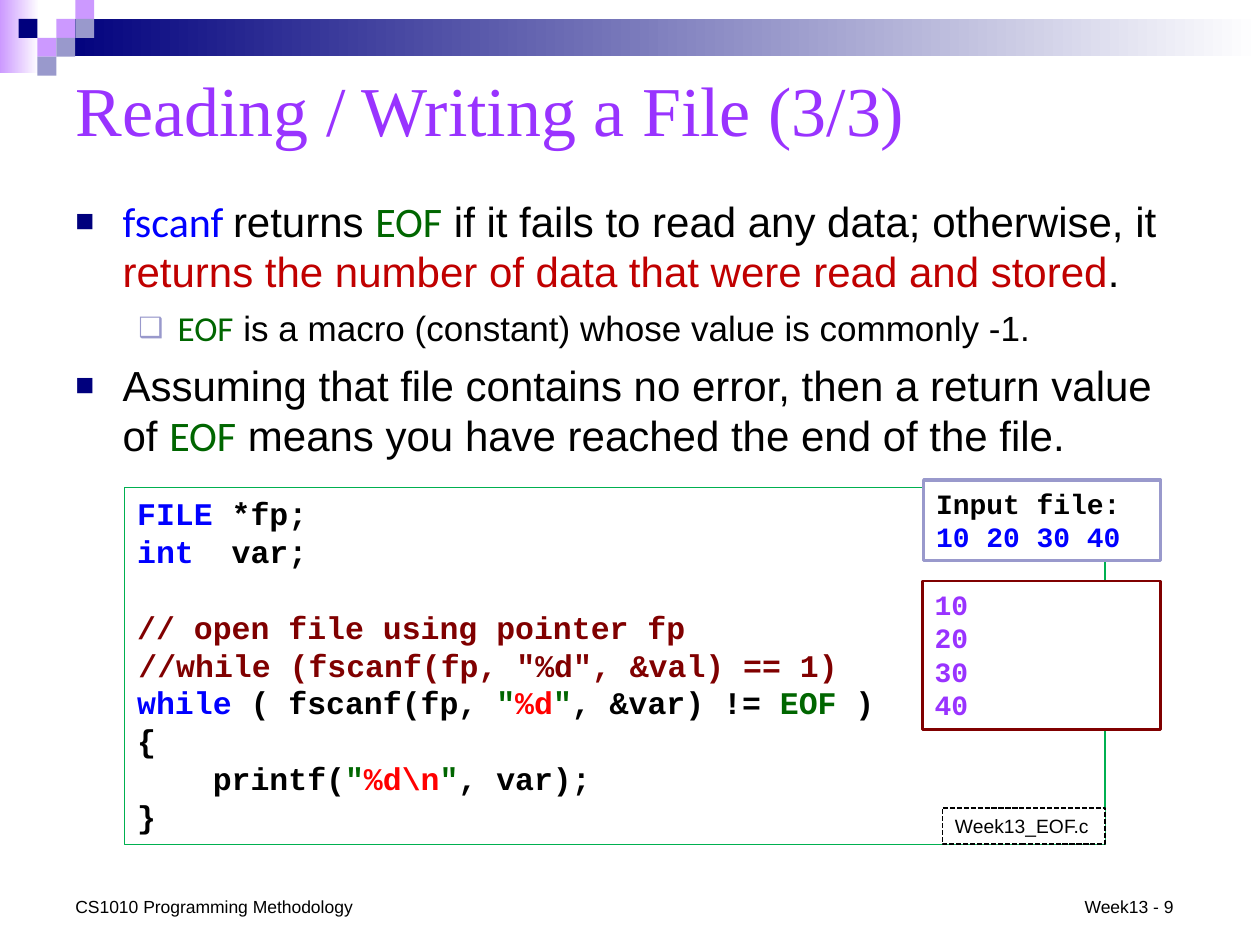
from lxml.etree import SubElement
from pptx import Presentation
from pptx.dml.color import RGBColor
from pptx.enum.dml import MSO_LINE
from pptx.enum.shapes import MSO_SHAPE
from pptx.enum.text import MSO_ANCHOR, PP_ALIGN
from pptx.oxml.ns import qn
from pptx.util import Pt

BLACK = RGBColor(0x00, 0x00, 0x00)
WHITE = RGBColor(0xFF, 0xFF, 0xFF)
NAVY = RGBColor(0x00, 0x00, 0x7D)
LILAC = RGBColor(0xCC, 0x99, 0xFF)
SLATE = RGBColor(0x99, 0x99, 0xCC)
VIOLET = RGBColor(0x99, 0x33, 0xFF)
BLUE = RGBColor(0x00, 0x00, 0xFF)
GREEN = RGBColor(0x00, 0x66, 0x00)
LIME = RGBColor(0x00, 0xB0, 0x50)
RED = RGBColor(0xFF, 0x00, 0x00)
BRICK = RGBColor(0xC0, 0x00, 0x00)
MAROON = RGBColor(0x80, 0x00, 0x00)
SANS, SERIF, MONO, HUMAN = "Arial", "Times New Roman", "Courier New", "Calibri"
CHAR, LINE = 10.8, 21.7


def add_run(para, text, size, color, font=SANS, bold=False):
    """Add one formatted run to a paragraph."""
    run = para.add_run()
    run.text = text
    run.font.size = Pt(size)
    run.font.name = font
    run.font.bold = bold
    run.font.color.rgb = color


def add_lines(frame, lines, size, font=SANS, bold=False):
    """Fill a frame with one paragraph for each list of runs."""
    for num, runs in enumerate(lines):
        para = frame.paragraphs[0] if num == 0 else frame.add_paragraph()
        para.alignment = PP_ALIGN.LEFT
        for text, color, *face in runs:
            add_run(para, text, size, color, face[0] if face else font, bold)
    return frame.paragraphs


def add_rect(slide, box, color=None):
    """Add a plain rectangle without outline or shadow."""
    shape = slide.shapes.add_shape(MSO_SHAPE.RECTANGLE, *map(Pt, box))
    shape.shadow.inherit = False
    shape.line.fill.background()
    if color is not None:
        shape.fill.solid()
        shape.fill.fore_color.rgb = color
    return shape


def add_fade(slide, box, color):
    """Add a rectangle that fades to white on the right."""
    fill = add_rect(slide, box).fill
    fill.gradient()
    fill.gradient_angle = 0
    for stop, tone in zip(fill.gradient_stops, (color, WHITE)):
        stop.color.rgb = tone


def add_panel(slide, box, edge, width, anchor=MSO_ANCHOR.TOP):
    """Add a white outlined box and return it."""
    shape = add_rect(slide, box, WHITE)
    shape.line.color.rgb = edge
    shape.line.width = Pt(width)
    shape.text_frame.word_wrap = True
    shape.text_frame.vertical_anchor = anchor
    return shape


def add_text(slide, box):
    """Add a wrapping text box and return its frame."""
    frame = slide.shapes.add_textbox(*map(Pt, box)).text_frame
    frame.word_wrap = True
    return frame


def set_bullet(para, level, left, hang, mark, color, scale):
    """Give a paragraph a hanging coloured bullet."""
    para.level = level
    para.space_before = Pt(6)
    props = para._p.get_or_add_pPr()
    props.set("marL", str(Pt(left)))
    props.set("indent", str(-Pt(hang)))
    tone = SubElement(props, qn("a:buClr"))
    SubElement(tone, qn("a:srgbClr"), val=str(color))
    SubElement(props, qn("a:buSzPct"), val=str(scale * 1000))
    SubElement(props, qn("a:buFont"), typeface=SANS)
    SubElement(props, qn("a:buChar"), char=mark)


def set_tab(para, place):
    """Add a left tab stop to a paragraph."""
    tabs = SubElement(para._p.get_or_add_pPr(), qn("a:tabLst"))
    SubElement(tabs, qn("a:tab"), pos=str(Pt(place)), algn="l")


def add_banner(slide):
    """Draw the fading bars and the mosaic of squares."""
    add_fade(slide, (0, 0, 22.5, 41.8), LILAC)
    add_fade(slide, (32.4, 10.8, 687.6, 21.4), NAVY)
    step = 10.8
    for col, row, color in (
        (2, 1, LILAC), (3, 0, LILAC), (3, 1, SLATE), (1, 2, LILAC),
        (0, 1, NAVY), (2, 2, SLATE), (1, 3, SLATE),
    ):
        add_rect(slide, (10.6 + col * step, row * step, step, step), color)


def add_title(slide):
    """Place and format the title."""
    title = slide.shapes.title
    title.left, title.top, title.width, title.height = map(Pt, (36, 30.2, 648, 63.4))
    title.text_frame.vertical_anchor = MSO_ANCHOR.MIDDLE
    add_lines(title.text_frame, [[("Reading / Writing a File (3/3)", VIOLET)]], 40, SERIF)


def add_body(slide):
    """Add the bulleted explanation."""
    frame = add_text(slide, (36, 108, 648, 164.9))
    eof = ("EOF", GREEN, HUMAN)
    points = [
        (0, [("fscanf ", BLUE, HUMAN), ("returns ", BLACK), eof,
             (" if it fails to read any data; otherwise, it ", BLACK),
             ("returns the number of data that were read and stored", BRICK),
             (".", BLACK)]),
        (1, [eof, (" is a macro (constant) whose value is commonly -1.", BLACK)]),
        (0, [("Assuming that file contains no error, then a return value of ", BLACK),
             eof, (" means you have reached the end of the file.", BLACK)]),
    ]
    looks = [(24, 27, 27, "■", NAVY, 75), (20, 58.5, 22.5, "❑", SLATE, 80)]
    for num, (level, runs) in enumerate(points):
        para = frame.paragraphs[0] if num == 0 else frame.add_paragraph()
        size, *look = looks[level]
        set_bullet(para, level, *look)
        for text, color, *face in runs:
            add_run(para, text, size, color, *face)


def add_code(slide):
    """Add the program listing with its file name."""
    panel = add_panel(slide, (71.3, 278.8, 560.2, 203.8), LIME, 0.75)
    quote = ('"', GREEN)
    lines = add_lines(panel.text_frame, [
        [("FILE", BLUE), (" *fp;", BLACK)],
        [("int\t", BLUE), ("var;", BLACK)],
        [("// open file using pointer fp", MAROON)],
        [("while", BLUE), (" ( fscanf(fp, ", BLACK), quote, ("%d", RED), quote,
         (", &var) != ", BLACK), ("EOF", GREEN), (" )", BLACK)],
        [("{", BLACK)],
        [("printf(", BLACK), quote, ("%d\\n", RED), quote, (", var);", BLACK)],
        [("}", BLACK)],
    ], 18, MONO, True)
    set_tab(lines[1], 5 * CHAR)
    for para in lines[2:4]:
        para.space_before = Pt(LINE)
    lines[5]._p.get_or_add_pPr().set("marL", str(Pt(4 * CHAR)))
    label = add_panel(slide, (538.6, 461.5, 92.9, 20.9), BLACK, 1, MSO_ANCHOR.MIDDLE)
    label.line.dash_style = MSO_LINE.SQUARE_DOT
    add_lines(label.text_frame, [[("Week13_EOF.c", BLACK)]], 11)
    note = add_text(slide, (72, 365.8, 416.9, 28.8))
    note.vertical_anchor = MSO_ANCHOR.MIDDLE
    add_lines(note, [[('//while (fscanf(fp, "%d", &val) == 1)', MAROON)]], 18, MONO, True)


def add_data(slide):
    """Add the output and input panels."""
    result = add_panel(slide, (527, 331.9, 136.1, 85), MAROON, 1.5)
    values = ("10", "20", "30", "40")
    add_lines(result.text_frame, [[(value, VIOLET)] for value in values], 16, MONO, True)
    source = add_panel(slide, (527.8, 274.3, 135.4, 46.1), SLATE, 2)
    rows = [[("Input file:", BLACK)], [(" ".join(values), BLUE)]]
    add_lines(source.text_frame, rows, 16, MONO, True)


def main():
    """Build the slide and save it."""
    deck = Presentation()
    deck.slide_width, deck.slide_height = Pt(720), Pt(540)
    slide = deck.slides.add_slide(deck.slide_layouts[5])
    add_banner(slide)
    add_title(slide)
    add_body(slide)
    add_code(slide)
    add_data(slide)
    for left, width, text in (
        (36, 174.2, "CS1010 Programming Methodology"), (612.7, 72.7, "Week13 - 9"),
    ):
        add_lines(add_text(slide, (left, 508.3, width, 19.4)), [[(text, BLACK)]], 10)
    deck.save("out.pptx")


main()
